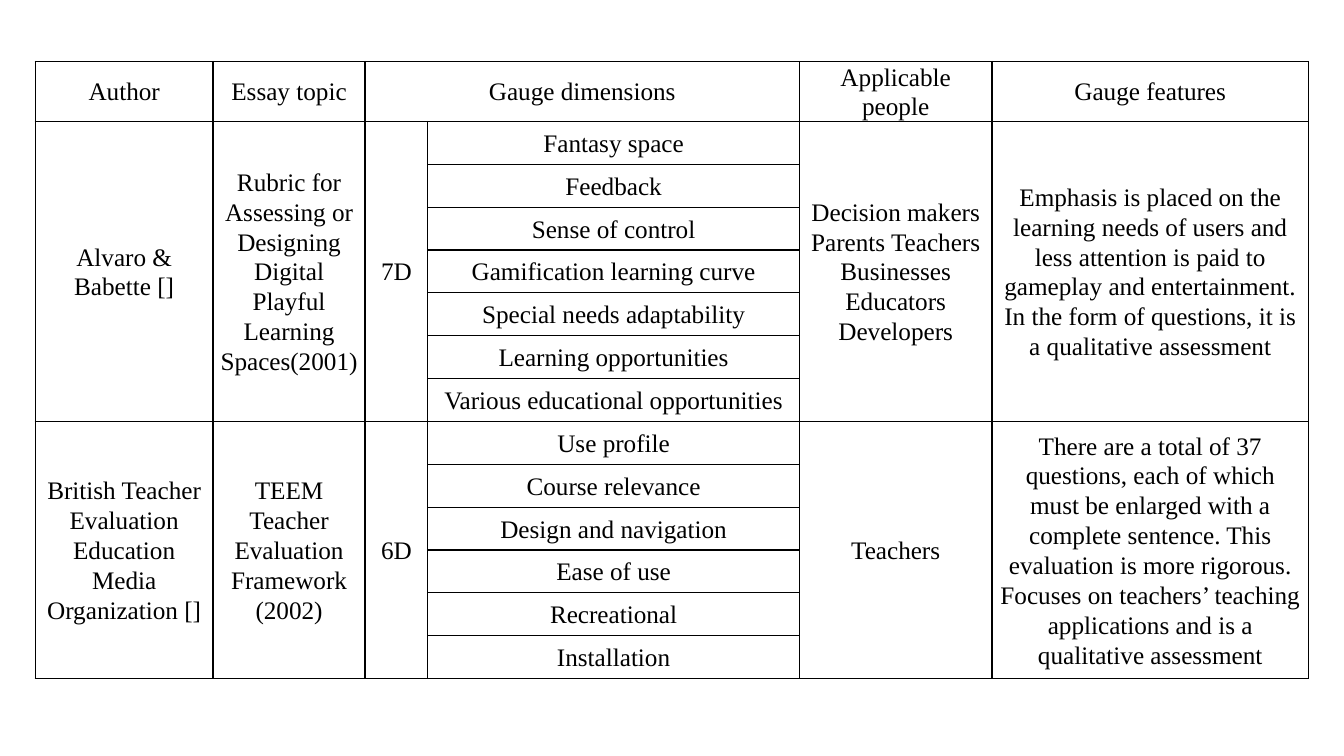
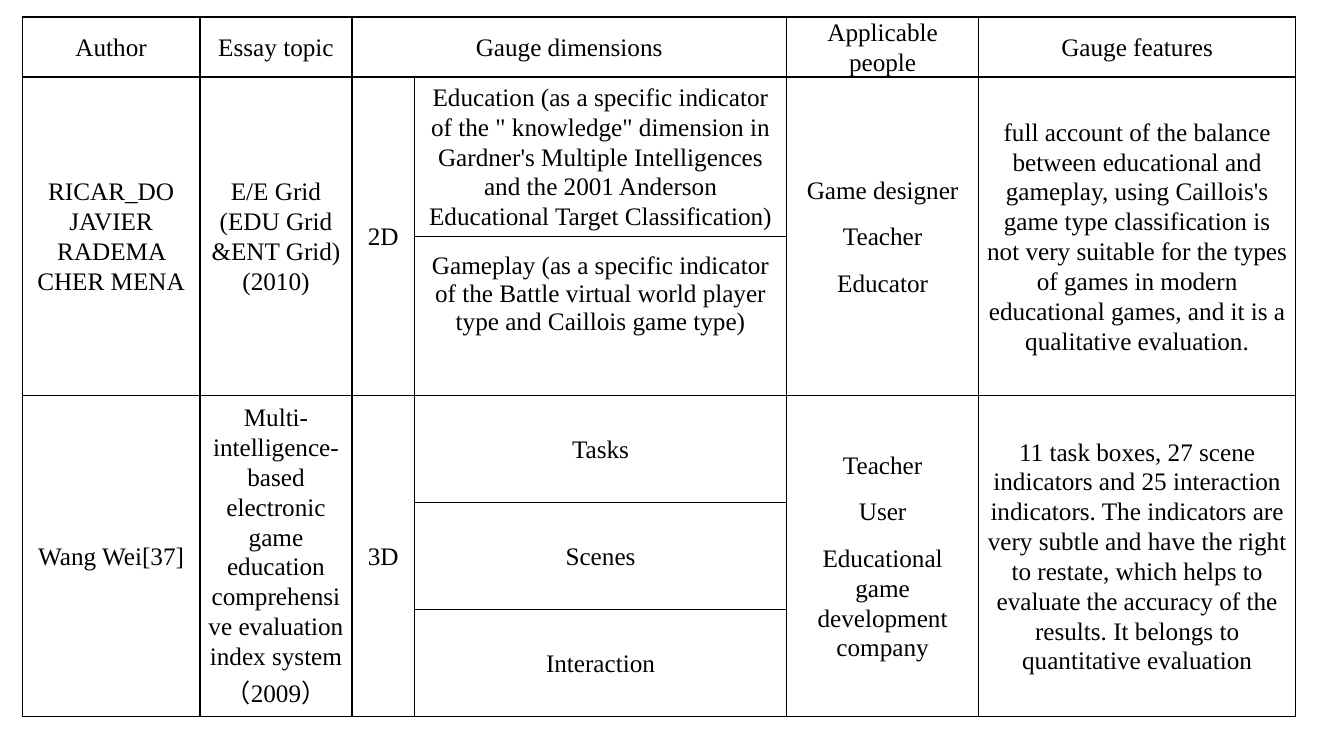
"""Build two slides comparing evaluation gauges for educational games."""
from dataclasses import dataclass

from lxml.etree import SubElement
from pptx import Presentation
from pptx.dml.color import RGBColor
from pptx.enum.text import MSO_ANCHOR, PP_ALIGN
from pptx.oxml.ns import qn
from pptx.util import Cm, Pt


@dataclass(frozen=True)
class Theme:
    ink: str = "000000"
    font: str = "Times New Roman"
    size: int = 18
    border: int = 1
    leading: float = 1.07


THEME = Theme()
HEADINGS = ["Author", "Essay topic", "Gauge dimensions", "", "Applicable people", "Gauge features"]
DIMENSION_COLUMN = 3
COLUMN_WIDTHS = [4.48, 3.83, 1.58, 9.37, 4.85, 7.98]
HEADER_HEIGHT = 1.51
CELL_FORMAT = {
    "margin_left": Cm(0.18),
    "margin_right": Cm(0.18),
    "margin_top": 0,
    "margin_bottom": 0,
    "vertical_anchor": MSO_ANCHOR.MIDDLE,
}

PAGES = [
    {
        "left": 0.89, "top": 1.55, "gap": 0,
        "gauges": [
            {
                "author": "Alvaro & Babette []",
                "topic": "Rubric for Assessing or Designing Digital Playful Learning Spaces(2001)",
                "count": "7D",
                "dimensions": [
                    "Fantasy space", "Feedback", "Sense of control", "Gamification learning curve",
                    "Special needs adaptability", "Learning opportunities",
                    "Various educational opportunities",
                ],
                "people": ["Decision makers", "Parents Teachers", "Businesses", "Educators", "Developers"],
                "features": "Emphasis is placed on the learning needs of users and less attention is paid "
                            "to gameplay and entertainment. In the form of questions, it is a qualitative "
                            "assessment",
                "row_height": 1.08,
            },
            {
                "author": "British Teacher Evaluation Education Media Organization []",
                "topic": "TEEM Teacher Evaluation Framework (2002)",
                "count": "6D",
                "dimensions": [
                    "Use profile", "Course relevance", "Design and navigation", "Ease of use",
                    "Recreational", "Installation",
                ],
                "people": ["Teachers"],
                "features": "There are a total of 37 questions, each of which must be enlarged with a "
                            "complete sentence. This evaluation is more rigorous. Focuses on teachers’ "
                            "teaching applications and is a qualitative assessment",
                "row_height": 1.08,
            },
        ],
    },
    {
        "left": 0.56, "top": 0.43, "gap": 12,
        "gauges": [
            {
                "author": "RICAR_DO JAVIER RADEMA CHER MENA",
                "topic": "E/E Grid (EDU Grid &ENT Grid) (2010)",
                "count": "2D",
                "dimensions": [
                    "Education (as a specific indicator of the \" knowledge\" dimension in Gardner's "
                    "Multiple Intelligences and the 2001 Anderson Educational Target Classification)",
                    "Gameplay (as a specific indicator of the Battle virtual world player type and "
                    "Caillois game type)",
                ],
                "people": ["Game designer", "Teacher", "Educator"],
                "features": "full account of the balance between educational and gameplay, using "
                            "Caillois's game type classification is not very suitable for the types of "
                            "games in modern educational games, and it is a qualitative evaluation.",
                "row_height": 4.01,
                "last_dimension": {"leading": 1.0, "margin_bottom": Cm(1.1)},
            },
            {
                "author": "Wang Wei[37]",
                "topic": "Multi-intelligence-based electronic game education comprehensive evaluation "
                         "index system（2009）",
                "count": "3D",
                "dimensions": ["Tasks", "Scenes", "Interaction"],
                "people": ["Teacher", "User", "Educational game development company"],
                "features": "11 task boxes, 27 scene indicators and 25 interaction indicators. The "
                            "indicators are very subtle and have the right to restate, which helps to "
                            "evaluate the accuracy of the results. It belongs to quantitative evaluation",
                "row_height": 2.7,
            },
        ],
    },
]


def outline(cell):
    properties = cell._tc.get_or_add_tcPr()
    for side in ("a:lnL", "a:lnR", "a:lnT", "a:lnB"):
        edge = SubElement(properties, qn(side), w=str(Pt(THEME.border)))
        SubElement(SubElement(edge, qn("a:solidFill")), qn("a:srgbClr"), val=THEME.ink)
    cell.fill.background()


def write(cell, lines, gap=0, leading=THEME.leading, **overrides):
    for name, value in {**CELL_FORMAT, **overrides}.items():
        setattr(cell, name, value)
    cell.text = "\n".join(lines)
    for position, paragraph in enumerate(cell.text_frame.paragraphs):
        paragraph.alignment = PP_ALIGN.CENTER
        paragraph.line_spacing = leading
        paragraph.space_before = Pt(gap if position else 0)
        for name, value in {"name": THEME.font, "size": Pt(THEME.size), "bold": False}.items():
            setattr(paragraph.font, name, value)
        paragraph.font.color.rgb = RGBColor.from_string(THEME.ink)


def add_gauge(table, gauge, first, gap):
    dimensions = gauge["dimensions"]
    last = first + len(dimensions) - 1
    summary = {
        0: [gauge["author"]],
        1: [gauge["topic"]],
        2: [gauge["count"]],
        4: gauge["people"],
        5: [gauge["features"]],
    }
    for column, lines in summary.items():
        table.cell(first, column).merge(table.cell(last, column))
        write(table.cell(first, column), lines, gap)
    for row, dimension in enumerate(dimensions, first):
        overrides = gauge.get("last_dimension", {}) if row == last else {}
        write(table.cell(row, DIMENSION_COLUMN), [dimension], **overrides)
    return last + 1


def add_page(deck, page):
    heights = [HEADER_HEIGHT]
    for gauge in page["gauges"]:
        heights += [gauge["row_height"]] * len(gauge["dimensions"])
    slide = deck.slides.add_slide(deck.slide_layouts[6])
    table = slide.shapes.add_table(
        len(heights), len(COLUMN_WIDTHS), Cm(page["left"]), Cm(page["top"]),
        Cm(sum(COLUMN_WIDTHS)), Cm(sum(heights)),
    ).table
    table.first_row = table.horz_banding = False
    for column, width in zip(table.columns, COLUMN_WIDTHS):
        column.width = Cm(width)
    for row, height in zip(table.rows, heights):
        row.height = Cm(height)
    for cell in table.iter_cells():
        write(cell, [""])
        outline(cell)

    table.cell(0, 2).merge(table.cell(0, DIMENSION_COLUMN))
    for column, heading in enumerate(HEADINGS):
        write(table.cell(0, column), [heading])
    next_row = 1
    for gauge in page["gauges"]:
        next_row = add_gauge(table, gauge, next_row, page["gap"])


def main():
    deck = Presentation()
    deck.slide_width, deck.slide_height = Cm(33.87), Cm(19.05)
    for page in PAGES:
        add_page(deck, page)
    deck.save("out.pptx")


if __name__ == "__main__":
    main()
